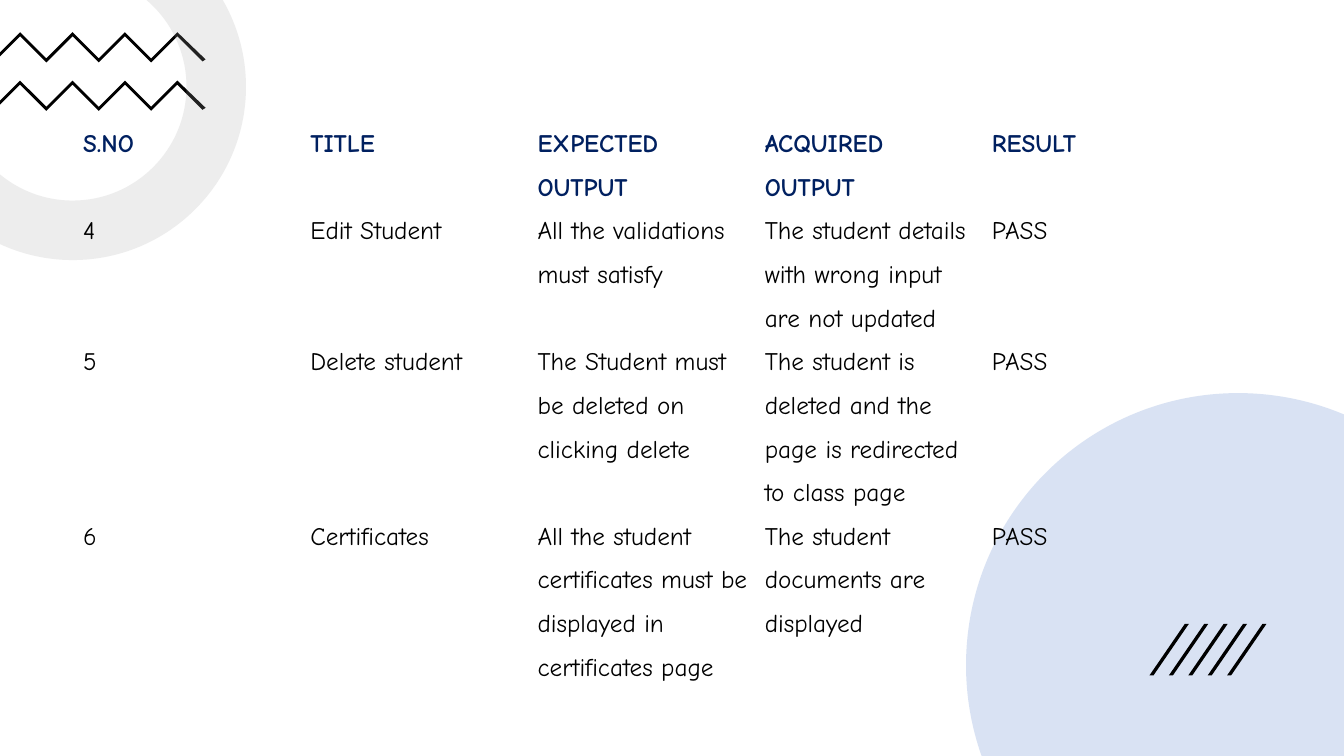
from itertools import pairwise
from math import acos, asin, cos, degrees, radians, sin, tan

from lxml.etree import SubElement
from pptx import Presentation
from pptx.dml.color import RGBColor as Color
from pptx.oxml import parse_xml
from pptx.oxml.ns import nsdecls, qn
from pptx.util import Inches, Pt

COLUMNS, ROWS = 160, 90
HEADER = {"size": Pt(18), "name": "Comic Neue", "bold": True}
BODY = HEADER | {"bold": False}
NAVY, BLACK, WHITE, GREY, BLUE = "002060", "000000", "FFFFFF", "A5A5A5", "4472C4"

RESULTS = [
    ["S.NO", "TITLE", "EXPECTED OUTPUT", "ACQUIRED OUTPUT", "RESULT"],
    ["4", "Edit Student", "All the validations must satisfy",
     "The student details with wrong input are not updated", "PASS"],
    ["5", "Delete student", "The Student must be deleted on clicking delete",
     "The student is deleted and the page is redirected to class page", "PASS"],
    ["6", "Certificates",
     "All the student certificates must be displayed in certificates page",
     "The student documents are displayed", "PASS"],
]
ROW_HEIGHTS = [9.48, 9.48, 11.88, 9.48]


def color(value):
    return Color.from_string(value)


def arc(center, radius, start, end):
    def spot(angle, lean=0):
        across, down = cos(radians(angle)), sin(radians(angle))
        return (center[0] + radius * (across - lean * down),
                center[1] + radius * (down + lean * across))

    quarters = [angle for angle in range(-360, 361, 90)
                if min(start, end) < angle < max(start, end)]
    stops = [start, *sorted(quarters, reverse=end < start), end]
    pieces = [spot(start)]
    for first, last in pairwise(stops):
        lean = 4 / 3 * tan(radians(last - first) / 4)
        pieces.append((spot(first, lean), spot(last, -lean), spot(last)))
    return pieces


class SlidePainter:
    def __init__(self, deck):
        self.page = deck.slides.add_slide(deck.slide_layouts[6])
        self.column = deck.slide_width / COLUMNS
        self.row = deck.slide_height / ROWS
        fill = self.page.background.fill
        fill.solid()
        fill.fore_color.rgb = color(WHITE)

    def x(self, columns):
        return round(columns * self.column)

    def y(self, rows):
        return round(rows * self.row)

    def outline(self, pieces, fill, opacity=100, group=None):
        shapes = group.shapes if group else self.page.shapes
        steps = [piece if isinstance(piece[0], tuple) else (piece,) for piece in pieces]
        spots = [(self.x(left), self.y(top)) for step in steps for left, top in step]
        builder = shapes.build_freeform(*spots[0], scale=1.0)
        builder.add_line_segments(spots[1:], close=True)
        shape = builder.convert_to_shape()
        self.bend(shape, steps[1:])
        shape.shadow.inherit = False
        shape.line.fill.background()
        shape.fill.solid()
        shape.fill.fore_color.rgb = color(fill)
        if opacity < 100:
            tint = shape._element.spPr.find(qn("a:solidFill"))[0]
            SubElement(tint, qn("a:alpha"), val=str(opacity * 1000))

    def bend(self, shape, steps):
        lines = iter(list(shape._element.iter(qn("a:lnTo"))))
        for step in steps:
            pieces = [next(lines) for _ in step]
            if len(pieces) == 3:
                curve = parse_xml(f'<a:cubicBezTo {nsdecls("a")}/>')
                pieces[0].addprevious(curve)
                for piece in pieces:
                    curve.append(piece[0])
                    piece.getparent().remove(piece)

    def zigzag(self, top):
        height, thickness = 3.12, 0.48
        bends = [(2.4 + height * index, top + height * (index % 2)) for index in range(7)]
        upper = [*bends, (24.48, top + 3.24)]
        lower = [(24.12, top + 3.48)]
        lower += [(left, bend + thickness) for left, bend in reversed(bends)]
        self.outline(upper + lower + [(0, top + 2.4 + thickness), (0, top + 2.4)], BLACK)

    def ring(self, center, outer, inner):
        left, top = center
        outside = arc(center, outer, -degrees(asin(top / outer)), degrees(acos(-left / outer)))
        inside = arc(center, inner, degrees(acos(-left / inner)), -degrees(asin(top / inner)))
        self.outline(outside + inside, GREY, 20)

    def corner_disc(self, center, radius):
        left, top = center
        start = 180 - degrees(asin((ROWS - top) / radius))
        end = 360 - degrees(acos((COLUMNS - left) / radius))
        pieces = arc(center, radius, start, end) + [(COLUMNS, ROWS)]
        self.outline(pieces, WHITE)
        self.outline(pieces, BLUE, 20)

    def slashes(self, left, top, bottom, count):
        group = self.page.shapes.add_group_shape()
        for index in range(count):
            foot = left + 2.31 * index
            head = foot + 4.2
            self.outline([(foot + 0.48, bottom), (foot, bottom), (head, top),
                          (head + 0.48, top)], BLACK, group=group)

    def write_cell(self, cell, text, style, ink):
        cell.fill.background()
        cell.margin_left = cell.margin_right = self.x(0.6)
        cell.margin_top = cell.margin_bottom = 0
        properties = cell._tc.get_or_add_tcPr()
        for index, side in enumerate("LRTB"):
            border = parse_xml(f'<a:ln{side} {nsdecls("a")} w="0"><a:noFill/></a:ln{side}>')
            properties.insert(index, border)
        para = cell.text_frame.paragraphs[0]
        para.line_spacing = 1.5
        span = para.add_run()
        span.text = text
        for name, value in style.items():
            setattr(span.font, name, value)
        span.font.color.rgb = color(ink)

    def table(self, left, top, column_width, height, records, row_heights):
        frame = self.page.shapes.add_table(
            len(records), len(records[0]), self.x(left), self.y(top),
            self.x(column_width * len(records[0])), self.y(height))
        grid = frame.table
        grid.first_row = grid.horz_banding = False
        for column in grid.columns:
            column.width = self.x(column_width)
        for row, row_height in zip(grid.rows, row_heights):
            row.height = self.y(row_height)
        frame.height = self.y(height)
        for row_index, record in enumerate(records):
            style, ink = (BODY, BLACK) if row_index else (HEADER, NAVY)
            for column_index, text in enumerate(record):
                self.write_cell(grid.cell(row_index, column_index), text, style, ink)


def main():
    deck = Presentation()
    deck.slide_width, deck.slide_height = Inches(13.33), Inches(7.5)
    painter = SlidePainter(deck)
    for top in (3.84, 9.6):
        painter.zigzag(top)
    painter.ring((8.65, 10.32), 20.64, 13.56)
    painter.corner_disc((147.4, 79.2), 32.4)
    painter.slashes(136.85, 74.28, 80.4, 5)
    painter.table(9.3, 13.75, 27.05, 68.4, RESULTS, ROW_HEIGHTS)
    deck.save("out.pptx")


if __name__ == "__main__":
    main()
